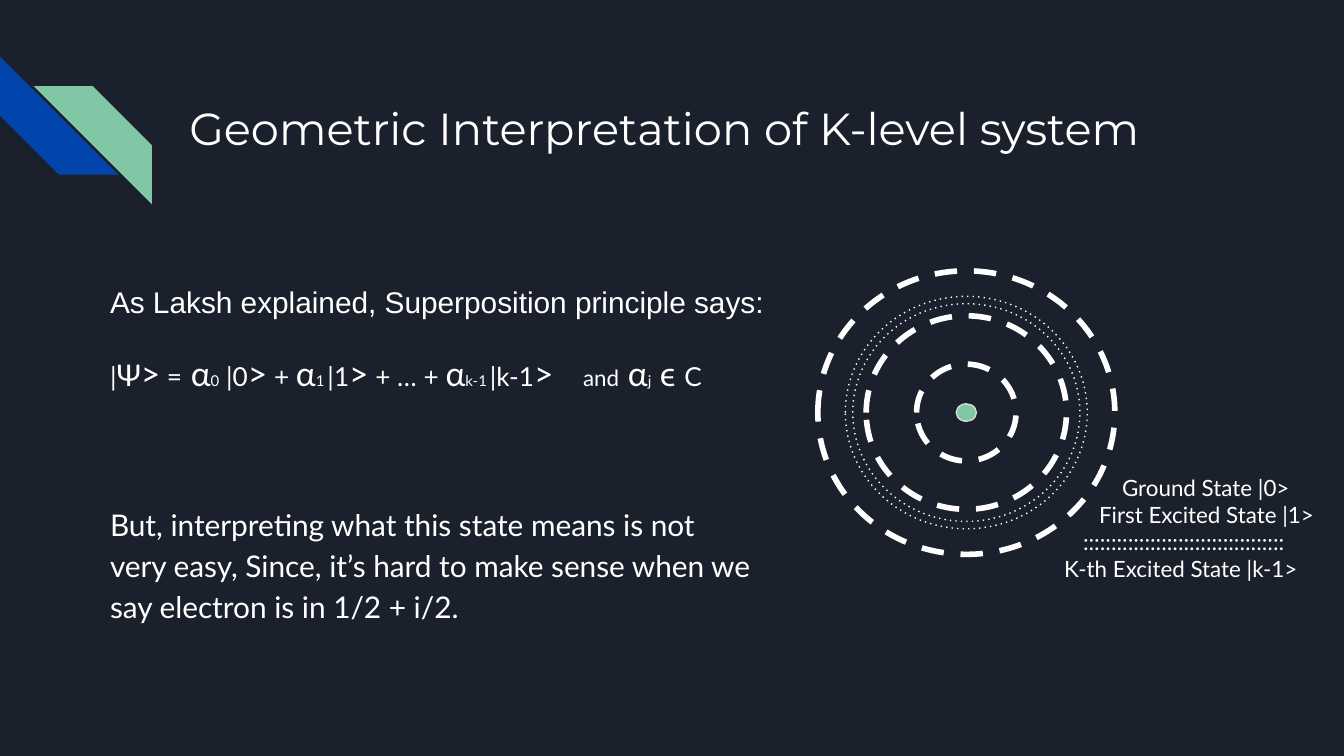
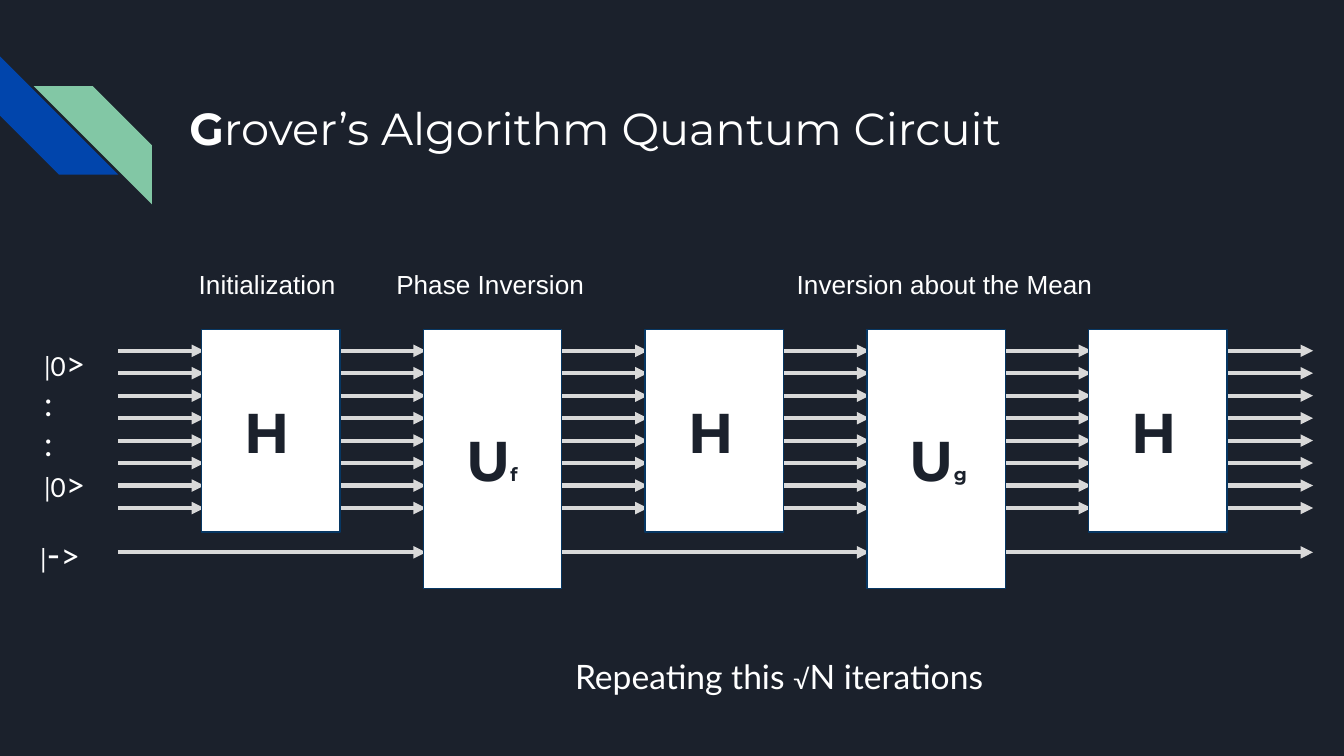
"""Build two slides on K-level quantum states and Grover's algorithm."""
from lxml import etree
from pptx import Presentation
from pptx.dml.color import RGBColor
from pptx.enum.shapes import MSO_CONNECTOR, MSO_SHAPE
from pptx.enum.text import MSO_ANCHOR
from pptx.oxml.ns import qn
from pptx.util import Inches, Pt

WIDTH = 10
HEIGHT = WIDTH * 9 / 16
NAVY = RGBColor(0x1B, 0x21, 0x2C)
BLUE = RGBColor(0x01, 0x45, 0xAC)
GREEN = RGBColor(0x82, 0xC7, 0xA5)
WHITE = RGBColor(0xFF, 0xFF, 0xFF)
GREY = RGBColor(0xD9, 0xD9, 0xD9)
GATE_EDGE = RGBColor(0x07, 0x37, 0x63)
BODY, HEADING, PLAIN = "Lato", "Montserrat", "Arial"

STRIPES = [(0, 0.42, 270, BLUE), (0.25, 0.64, 90, GREEN)]
STRIPE_SIDE = 0.88
TITLE_BOX = (1.31, 0.65, 7.69, 0.67)

PRINCIPLE = "As Laksh explained, Superposition principle says:"
EQUATION = [
    ("|", 14), ("Ψ", 16), (">", 18), (" =", 14), (" α", 18), ("0", 8),
    (" |0", 14), (">", 18), (" + ", 14), ("α", 18), ("1", 8), (" ", 6),
    ("|1", 14), (">", 18), (" + … + ", 14), ("α", 18), ("k-1", 8), (" ", 6),
    ("|k-1", 14), (">", 18), ("\tand", 12), (" α", 18), ("j", 8), (" ϵ ", 18),
    ("C", 14),
]
AND_TAB = 3.52
DIFFICULTY = ("But, interpreting what this state means is not very easy, Since, "
              "it’s hard to make sense when we say electron is in 1/2 + i/2.")
LEVELS = [("Ground State |0>", 0.43), ("First Excited State |1>", 0.26),
          (":" * 36, 0.14), ("K-th Excited State |k-1>", 0)]
ATOM_CENTRE = (7.19, 3.07)
NUCLEUS = (0.15, 0.13)
ORBITS = [(0.74, 0.72, 3, "dash"), (1.49, 1.44, 3, "dash"), (2.21, 2.11, 3, "dash"),
          (1.8, 1.73, 0.75, "dot"), (1.69, 1.62, 0.75, "dot")]

GATES = [("H", ""), ("U", "f"), ("H", ""), ("U", "g"), ("H", "")]
GATE_LEFT, GATE_TOP, GATE_PITCH, GATE_WIDTH = 1.5, 2.45, 1.65, 1.03
SHORT_GATE, TALL_GATE = 1.51, 1.93
GATE_INSET = 0.32
WIRES, WIRE_TOP, WIRE_PITCH, ANCILLA_Y = 8, 2.61, 1.17 / 7, 4.11
ARROW_OVERLAP = 0.02
STAGES = [("Initialization", 1.38, 1.29), ("Phase Inversion", 2.85, 1.62),
          ("Inversion about the Mean", 5.83, 3.84)]
STAGE_TOP, STAGE_HEIGHT = 1.9, 0.39
ZERO_STATE = [("|0", 14), (">", 18)]
REGISTER = [ZERO_STATE, [(":", 18)], [(":", 18)], ZERO_STATE]
MINUS_STATE = [("|", 14), ("-", 20), (">", 18)]
REPEAT = [("Repeating this ", 18), ("√", 14), ("N iterations", 18)]


def write(frame, paragraphs, font=BODY, color=WHITE, bold=False):
    """Fill a text frame with paragraphs given as lists of (text, size) runs."""
    frame.word_wrap = True
    for side in ("left", "top", "right", "bottom"):
        setattr(frame, f"margin_{side}", Inches(0.1))
    for number, runs in enumerate(paragraphs):
        paragraph = frame.add_paragraph() if number else frame.paragraphs[0]
        for text, size in runs:
            run = paragraph.add_run()
            run.text = text
            run.font.name, run.font.size, run.font.bold = font, Pt(size), bold
            run.font.color.rgb = color
    return frame


def add_text(slide, box, paragraphs, font=BODY):
    """Add a text box and return its frame."""
    textbox = slide.shapes.add_textbox(*map(Inches, box))
    return write(textbox.text_frame, paragraphs, font)


def add_shape(slide, kind, box, fill=None, line=None, weight=0.75):
    """Add a flat shape with an optional fill and outline."""
    shape = slide.shapes.add_shape(kind, *map(Inches, box))
    shape.shadow.inherit = False
    for target, color in ((shape.fill, fill), (shape.line.fill, line)):
        if color is None:
            target.background()
        else:
            target.solid()
            target.fore_color.rgb = color
    if line is not None:
        shape.line.width = Pt(weight)
    return shape


def add_oval(slide, width, height, **style):
    """Add an ellipse around the centre of the atom."""
    x, y = ATOM_CENTRE
    box = (x - width / 2, y - height / 2, width, height)
    return add_shape(slide, MSO_SHAPE.OVAL, box, **style)


def add_arrow(slide, start, end, y):
    """Add a horizontal wire with an arrowhead."""
    arrow = slide.shapes.add_connector(
        MSO_CONNECTOR.STRAIGHT, Inches(start), Inches(y), Inches(end), Inches(y))
    arrow.line.color.rgb = GREY
    arrow.line.width = Pt(2.25)
    properties = arrow.element.spPr
    etree.SubElement(properties.find(qn("a:ln")), qn("a:tailEnd"), type="triangle")
    etree.SubElement(properties, qn("a:effectLst"))


def add_slide(deck, title):
    """Add a blank slide with the background, corner stripes and title."""
    slide = deck.slides.add_slide(deck.slide_layouts[6])
    slide.background.fill.solid()
    slide.background.fill.fore_color.rgb = NAVY
    for left, top, rotation, color in STRIPES:
        box = (left, top, STRIPE_SIDE, STRIPE_SIDE)
        add_shape(slide, MSO_SHAPE.DIAGONAL_STRIPE, box, fill=color).rotation = rotation
    frame = add_text(slide, TITLE_BOX, [[(part, 24) for part in title]], HEADING)
    return slide, frame


def build_levels(deck):
    """Build the slide on the K-level system."""
    slide, _ = add_slide(deck, ["Geometric Interpretation of K-level system"])
    for width, height, weight, dash in ORBITS:
        orbit = add_oval(slide, width, height, line=WHITE, weight=weight)
        outline = orbit.element.spPr.find(qn("a:ln"))
        etree.SubElement(outline, qn("a:prstDash"), val=dash)
    add_oval(slide, *NUCLEUS, fill=GREEN, line=GREY)

    labels = add_text(slide, (7.82, 3.43, 2.18, 1.04), [[(text, 12)] for text, _ in LEVELS])
    for paragraph, (_, indent) in zip(labels.paragraphs, LEVELS):
        paragraph._p.get_or_add_pPr().set("marL", str(Inches(indent)))

    principle = add_text(slide, (0.72, 2.01, 5.21, 1.12), [[(PRINCIPLE, 16)], EQUATION])
    principle.paragraphs[0].runs[0].font.name = PLAIN
    equation = principle.paragraphs[1]
    equation.space_before = Pt(18)
    tabs = etree.SubElement(equation._p.get_or_add_pPr(), qn("a:tabLst"))
    etree.SubElement(tabs, qn("a:tab"), pos=str(Inches(AND_TAB)), algn="l")

    difficulty = add_text(slide, (0.72, 3.63, 5.02, 1.04), [[(DIFFICULTY, 16)]])
    difficulty.paragraphs[0].line_spacing = 1.15


def gate_x(column):
    """Return the left edge of a gate column."""
    return GATE_LEFT + column * GATE_PITCH


def build_circuit(deck):
    """Build the slide on the circuit of Grover's algorithm."""
    slide, title = add_slide(deck, ["G", "rover’s Algorithm Quantum Circuit"])
    title.paragraphs[0].runs[0].font.bold = True

    for column in range(len(GATES) + 1):
        start, end = gate_x(column - 1) + GATE_WIDTH, gate_x(column) + ARROW_OVERLAP
        for wire in range(WIRES):
            add_arrow(slide, start, end, WIRE_TOP + wire * WIRE_PITCH)
    for column in range(1, len(GATES) + 1, 2):
        add_arrow(slide, gate_x(column - 2) + GATE_WIDTH,
                  gate_x(column) + ARROW_OVERLAP, ANCILLA_Y)

    for column, (letter, index) in enumerate(GATES):
        box = (gate_x(column), GATE_TOP, GATE_WIDTH, TALL_GATE if index else SHORT_GATE)
        gate = add_shape(slide, MSO_SHAPE.RECTANGLE, box, fill=WHITE, line=GATE_EDGE)
        runs = [(letter, 30)] + ([(index, 10)] if index else [])
        frame = write(gate.text_frame, [runs], HEADING, NAVY, bold=True)
        frame.margin_left = Inches(GATE_INSET)
        frame.vertical_anchor = MSO_ANCHOR.MIDDLE
        frame.paragraphs[0].alignment = 1

    for stage, left, width in STAGES:
        add_text(slide, (left, STAGE_TOP, width, STAGE_HEIGHT), [[(stage, 14)]], PLAIN)
    add_text(slide, (0.23, 2.45, 0.64, 0.85), REGISTER)
    add_text(slide, (0.2, 3.85, 0.57, 0.39), [MINUS_STATE])
    add_text(slide, (4.18, 4.78, 3.55, 0.31), [REPEAT])


def main():
    """Create and save the deck."""
    deck = Presentation()
    deck.slide_width, deck.slide_height = Inches(WIDTH), Inches(HEIGHT)
    build_levels(deck)
    build_circuit(deck)
    deck.save("out.pptx")


if __name__ == "__main__":
    main()
